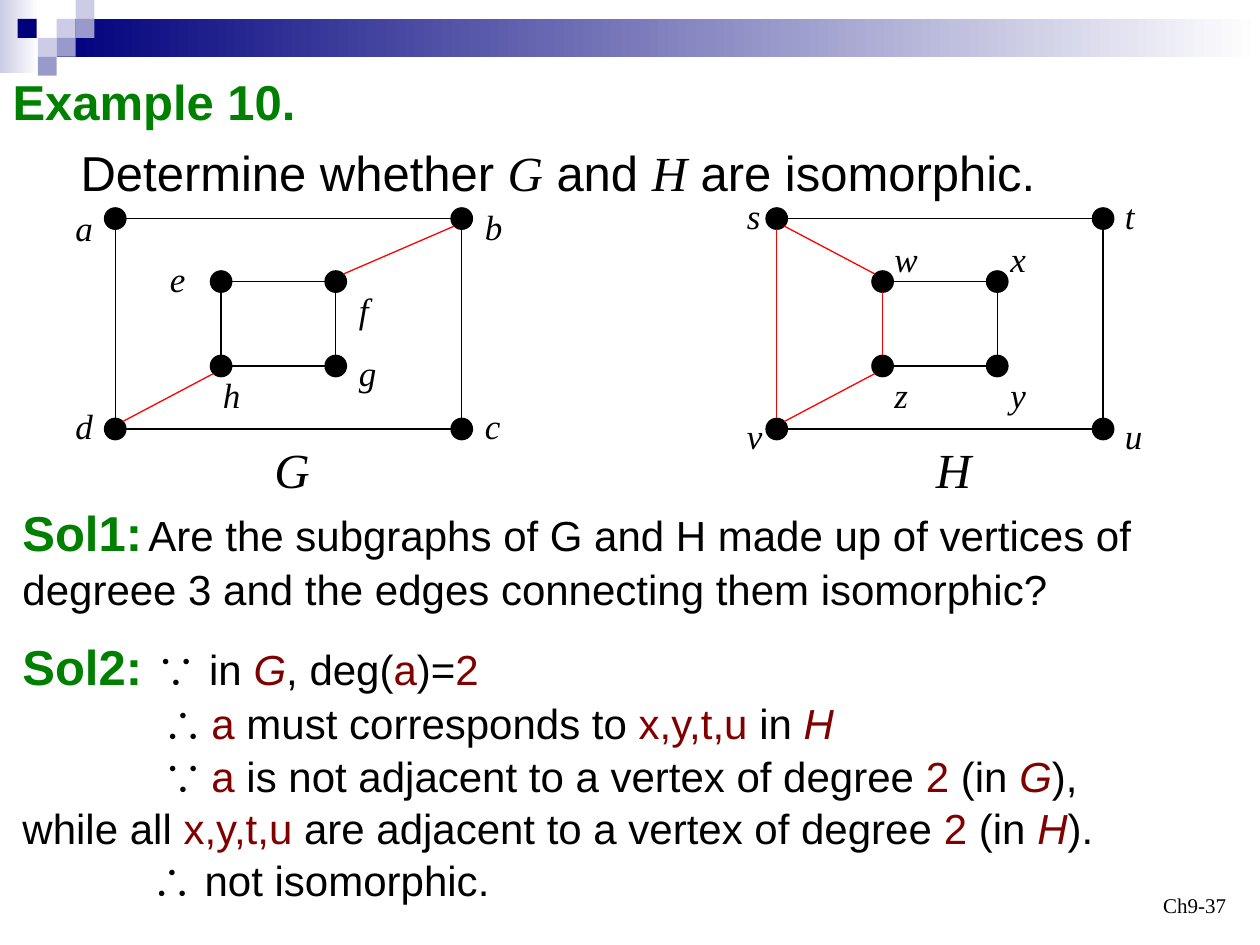
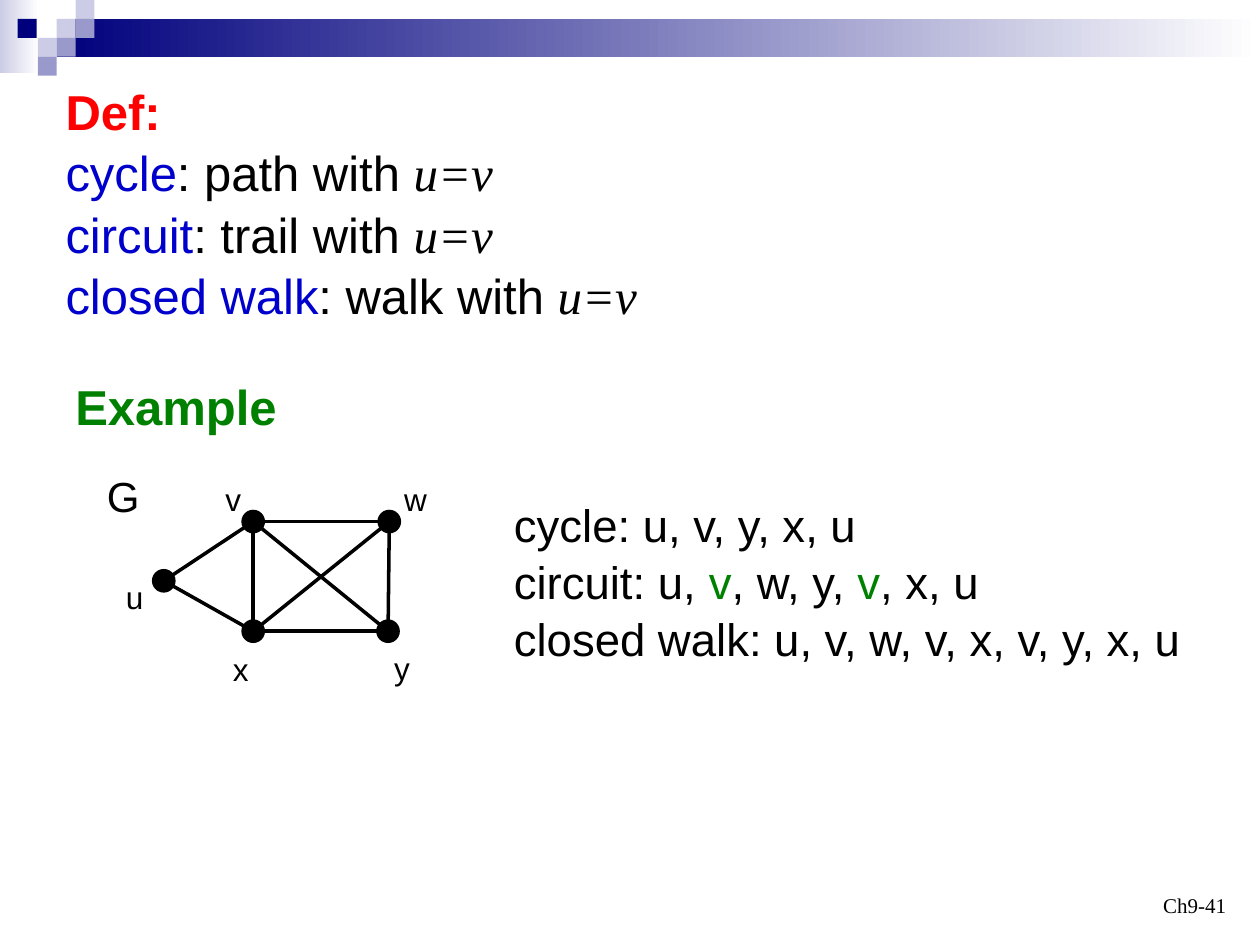
from dataclasses import dataclass
from typing import NamedTuple

from lxml.etree import SubElement
from pptx import Presentation
from pptx.dml.color import RGBColor
from pptx.enum.shapes import MSO_CONNECTOR, MSO_SHAPE
from pptx.enum.text import MSO_ANCHOR, MSO_AUTO_SIZE, PP_ALIGN
from pptx.oxml.ns import qn
from pptx.util import Emu, Pt

SCALE = 9144  # EMU per px, 100 px to the inch


@dataclass(frozen=True)
class Theme:
    black: RGBColor = RGBColor(0, 0, 0)
    white: RGBColor = RGBColor(255, 255, 255)
    navy: RGBColor = RGBColor(0x00, 0x00, 0x7D)
    mid: RGBColor = RGBColor(0x99, 0x99, 0xCC)
    pale: RGBColor = RGBColor(0xCC, 0xCC, 0xE6)
    green: RGBColor = RGBColor(0x00, 0x80, 0x00)
    red: RGBColor = RGBColor(0xFF, 0x00, 0x00)
    wine: RGBColor = RGBColor(0x80, 0x00, 0x00)
    blue: RGBColor = RGBColor(0x00, 0x00, 0xCC)
    sans: str = "Arial"
    serif: str = "Times New Roman"
    head: int = 28
    list: int = 26
    text: int = 24
    node: int = 20
    small: int = 18
    foot: int = 12
    leading: float = 1.04


T = Theme()
HEAD = dict(size=T.head, color=T.green, bold=True)
MATH = dict(font=T.serif, italic=True)
WINE = dict(color=T.wine)
SLANT = dict(color=T.wine, italic=True)
BLUE = dict(color=T.blue)
GREEN = dict(color=T.green)


class Box(NamedTuple):
    x: int
    y: int
    w: int
    h: int


class Line(NamedTuple):
    """A paragraph: bits are strings or (string, format) pairs."""
    bits: list
    left: int = 0
    tab: int = 0
    before: float = 0


class Node(NamedTuple):
    """A vertex: its corner, then the corner and width of its label."""
    name: str
    x: int
    y: int
    lx: int
    ly: int
    lw: int


class Graph(NamedTuple):
    nodes: list
    edges: str
    marked: str  # edges in red
    title: str
    spot: Box
    dot: int
    width: float
    rim: bool  # edges stop at the rim of a dot
    label: dict
    high: int  # label height


class Tile(NamedTuple):
    box: Box
    color: RGBColor
    fade: bool = False


def px(n: float) -> Emu:
    return Emu(round(n * SCALE))


def place(box: Box) -> list:
    return [px(n) for n in box]


def say(para, text: str, *, size=T.text, color=T.black, font=T.sans,
        bold=False, italic=False) -> None:
    run = para.add_run()
    run.text = text
    f = run.font
    f.size, f.name, f.bold, f.italic = Pt(size), font, bold, italic
    f.color.rgb = color


def fill(frame, lines: list, **fmt) -> None:
    """Write the paragraphs; fmt is the format that bits may override."""
    for i, line in enumerate(lines):
        para = frame.paragraphs[0] if i == 0 else frame.add_paragraph()
        props = para._p.get_or_add_pPr()
        props.set("marL", "0")
        props.set("indent", str(px(line.left)))
        SubElement(props, qn("a:buNone"))
        if line.tab:
            tabs = SubElement(props, qn("a:tabLst"))
            SubElement(tabs, qn("a:tab"), pos=str(px(line.tab)), algn="l")
        para.line_spacing = T.leading
        para.space_before = Pt(line.before)
        for bit in line.bits:
            text, own = (bit, {}) if isinstance(bit, str) else bit
            say(para, text, **{**fmt, **own})


def note(shapes, box: Box, lines: list, wrap=True, grow=True, **fmt):
    frame = shapes.add_textbox(*place(box)).text_frame
    frame.word_wrap = wrap
    frame.auto_size = (MSO_AUTO_SIZE.SHAPE_TO_FIT_TEXT if grow
                       else MSO_AUTO_SIZE.NONE)
    fill(frame, lines, **fmt)
    return frame


def body(slide, box: Box, lines: list, **fmt) -> None:
    holder = slide.placeholders[1]
    holder.left, holder.top, holder.width, holder.height = place(box)
    holder.text_frame.auto_size = MSO_AUTO_SIZE.NONE
    fill(holder.text_frame, lines, **fmt)


# Header band, shared through the layout
CELL = 15
TILES = [
    Tile(Box(0, 0, 31, 58), T.pale, True),
    Tile(Box(45, 15, 955, 30), T.navy, True),
    Tile(Box(14, 15, CELL, CELL), T.navy),
    *[Tile(Box(col * CELL, row * CELL, CELL, CELL), color)
      for col, row, color in [(3, 1, T.pale), (4, 0, T.pale), (4, 1, T.mid),
                              (2, 2, T.pale), (3, 2, T.mid), (2, 3, T.mid)]],
]


def band(slide, layout) -> None:
    group = slide.shapes.add_group_shape()
    for tile in TILES:
        rect = group.shapes.add_shape(MSO_SHAPE.RECTANGLE, *place(tile.box))
        rect.shadow.inherit = False
        rect.line.fill.background()
        if tile.fade:
            rect.fill.gradient()
            rect.fill.gradient_angle = 0
            for stop, color in zip(rect.fill.gradient_stops,
                                   (tile.color, T.white)):
                stop.color.rgb = color
        else:
            rect.fill.solid()
            rect.fill.fore_color.rgb = tile.color
    layout.shapes.element.insert(2, group.element)


def drop(shape) -> None:
    shape.element.getparent().remove(shape.element)


def page(deck, layout, mark: str):
    slide = deck.slides.add_slide(layout)
    drop(slide.shapes.title)
    frame = note(slide.shapes, Box(750, 683, 233, 50), [Line([mark])],
                 grow=False, size=T.foot, font=T.serif)
    frame.vertical_anchor = MSO_ANCHOR.BOTTOM
    frame.paragraphs[0].alignment = PP_ALIGN.RIGHT
    return slide


# Graphs
def ends(a: Node, b: Node, g: Graph) -> list:
    """Middle of each dot, moved to the facing rim where asked."""
    half = g.dot / 2
    dx, dy = b.x - a.x, b.y - a.y
    reach = 0 if not g.rim else half * (0.7 if dx and dy else 1)
    sx, sy = ((n > 0) - (n < 0) for n in (dx, dy))
    return [px(n) for n in (a.x + half + sx * reach, a.y + half + sy * reach,
                            b.x + half - sx * reach, b.y + half - sy * reach)]


def draw(slide, g: Graph) -> None:
    shapes = slide.shapes.add_group_shape().shapes
    nodes = {n.name: n for n in g.nodes}
    for n in g.nodes:
        dot = shapes.add_shape(MSO_SHAPE.OVAL,
                               *place(Box(n.x, n.y, g.dot, g.dot)))
        dot.shadow.inherit = False
        dot.fill.solid()
        dot.fill.fore_color.rgb = dot.line.color.rgb = T.black
        dot.line.width = Pt(g.width)
    for edges, color in ((g.edges, T.black), (g.marked, T.red)):
        for a, b in edges.split():
            line = shapes.add_connector(MSO_CONNECTOR.STRAIGHT,
                                        *ends(nodes[a], nodes[b], g))
            line.line.color.rgb = color
            line.line.width = Pt(g.width)
            SubElement(line.element.spPr, qn("a:effectLst"))
    for n in g.nodes:
        note(shapes, Box(n.lx, n.ly, n.lw, g.high), [Line([n.name])],
             wrap=False, **g.label)
    size = T.head if g.rim else T.text
    note(shapes, g.spot, [Line([g.title])], wrap=False,
         **{**g.label, "size": size})


PAIR = dict(dot=17, width=0.75, rim=True, high=43,
            label=dict(size=T.node, **MATH))
LEFT = Graph(
    [Node("a", 83, 165, 50, 158, 34), Node("b", 358, 165, 375, 157, 34),
     Node("c", 358, 332, 375, 315, 32), Node("d", 83, 332, 50, 315, 34),
     Node("e", 167, 215, 125, 198, 32), Node("f", 258, 215, 275, 223, 28),
     Node("g", 258, 282, 275, 273, 34), Node("h", 167, 282, 167, 290, 34)],
    "ab bc cd da ef fg gh he", "hd fb", "G", Box(208, 342, 48, 57), **PAIR)
RIGHT = Graph(
    [Node("s", 608, 165, 583, 148, 31), Node("t", 867, 165, 883, 148, 28),
     Node("u", 867, 332, 883, 323, 34), Node("v", 608, 332, 583, 323, 32),
     Node("w", 692, 215, 700, 182, 39), Node("x", 783, 215, 792, 182, 32),
     Node("y", 783, 282, 792, 290, 32), Node("z", 692, 282, 700, 290, 31)],
    "st tu uv wx xy yz", "sv sw wz zv", "H", Box(733, 342, 48, 57), **PAIR)
WALK = Graph(
    [Node("u", 122, 453, 90, 453, 34), Node("v", 193, 406, 169, 375, 32),
     Node("w", 301, 406, 311, 375, 38), Node("x", 193, 493, 175, 510, 32),
     Node("y", 300, 493, 303, 509, 32)],
    "uv ux vx vw vy wx wy xy", "", "G", Box(75, 367, 46, 50),
    dot=16, width=2, rim=False, high=40, label=dict(size=T.small))


# Slides
def match(slide) -> None:
    body(slide, Box(0, 50, 1000, 117), [
        Line([("Example 10.", HEAD)]),
        Line(["Determine whether ", ("G", MATH), " and ", ("H", MATH),
              " are isomorphic."], left=54, before=5.6),
    ], size=T.head)
    draw(slide, LEFT)
    draw(slide, RIGHT)
    note(slide.shapes, Box(8, 392, 992, 350), [
        Line([("Sol1:\t", HEAD), "Are the subgraphs of G and H made up of "
              "vertices of degreee 3 and the edges connecting them "
              "isomorphic?"], tab=117),
        Line([("Sol2: ", HEAD), "∵ in ", ("G", SLANT), ", deg(", ("a", WINE),
              ")=", ("2", WINE)], before=12),
        Line(["∴\t", ("a", WINE), " must corresponds to ",
              ("x,y,t,u ", WINE), "in ", ("H", SLANT)], left=111, tab=163),
        Line(["∵\t", ("a ", WINE), "is not adjacent to a vertex of degree ",
              ("2 ", WINE), "(in ", ("G", SLANT), "),"], left=111, tab=163),
        Line(["while all ", ("x,y,t,u", WINE),
              " are adjacent to a vertex of degree ", ("2 ", WINE), "(in ",
              ("H", SLANT), ")."]),
        Line(["∴ not isomorphic."], left=102),
    ], grow=False)


def cycles(slide) -> None:
    terms = [("cycle", "path"), ("circuit", "trail"), ("closed walk", "walk")]
    body(slide, Box(42, 58, 500, 197), [
        Line([("Def:", dict(color=T.red, bold=True))]),
        *[Line([(term, BLUE), f": {kind} with ", ("u=v", MATH)])
          for term, kind in terms],
    ], size=T.head)
    note(slide.shapes, Box(50, 292, 180, 57), [Line(["Example"])],
         wrap=False, **HEAD)
    draw(slide, WALK)
    note(slide.shapes, Box(398, 388, 585, 140), [
        Line(["cycle: u, v, y, x, u"]),
        Line(["circuit: u, ", ("v", GREEN), ", w, y, ", ("v", GREEN),
              ", x, u"]),
        Line(["closed walk: u, v, w, v, x, v, y, x, u"]),
    ], size=T.list)


def main() -> None:
    deck = Presentation()
    deck.slide_width, deck.slide_height = px(1000), px(750)
    layout = deck.slide_layouts[1]
    for holder in list(layout.placeholders)[2:]:
        drop(holder)
    first = page(deck, layout, "Ch9-37")
    band(first, layout)
    match(first)
    cycles(page(deck, layout, "Ch9-41"))
    deck.save("out.pptx")


if __name__ == "__main__":
    main()
